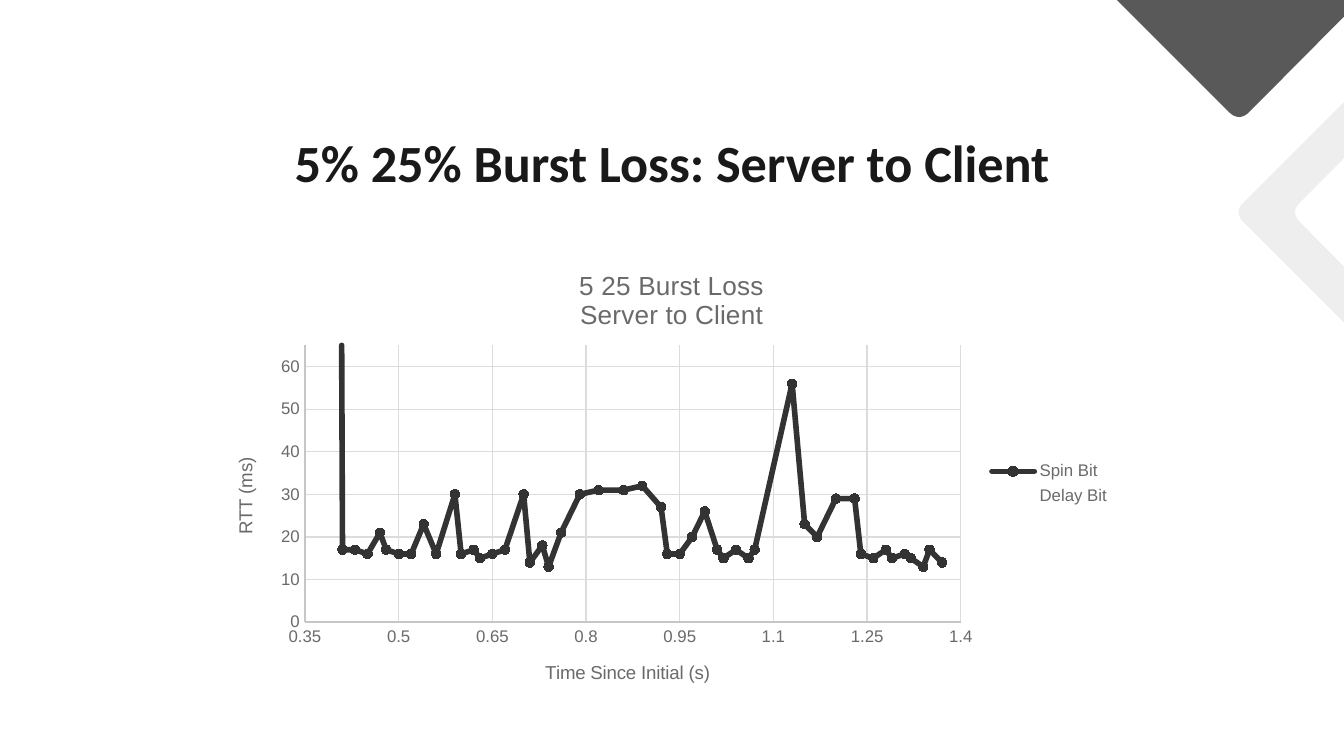
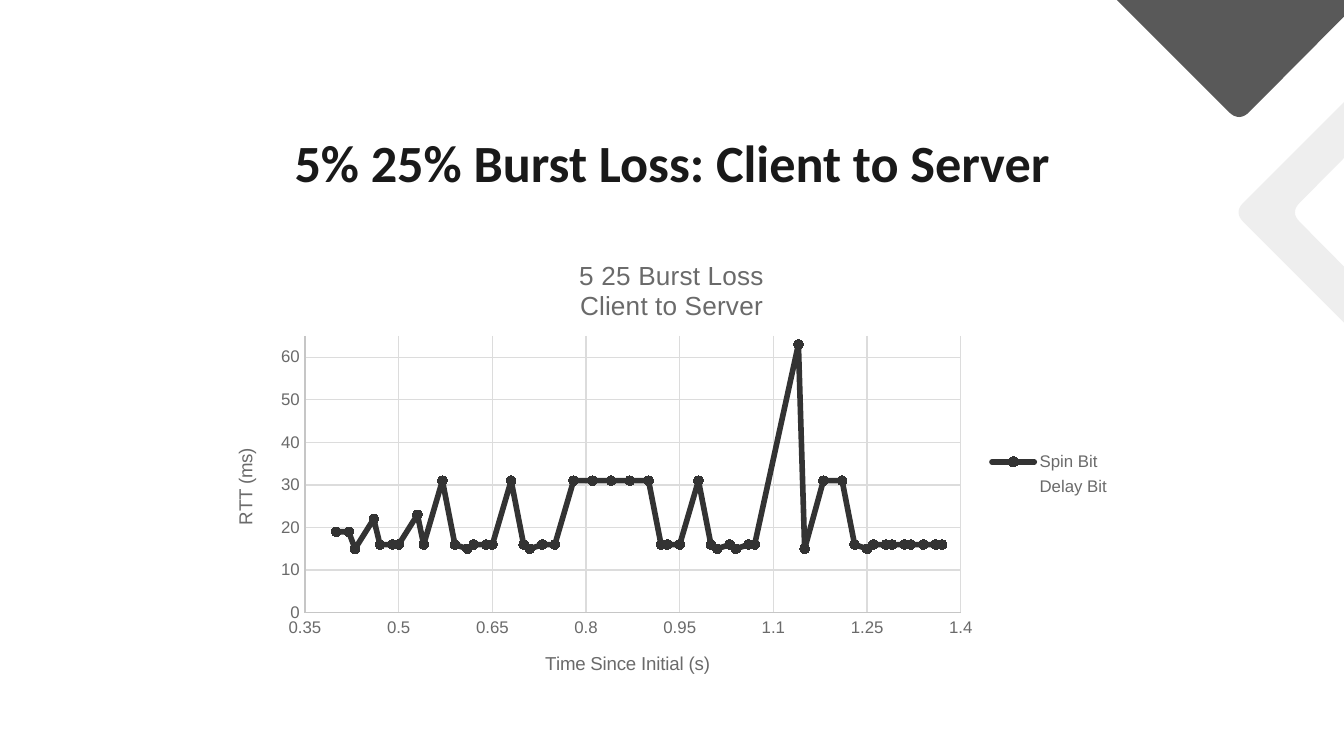
from dataclasses import dataclass

from lxml import etree
from pptx import Presentation
from pptx.chart.data import XyChartData
from pptx.dml.color import RGBColor
from pptx.enum.chart import (XL_CHART_TYPE, XL_LEGEND_POSITION, XL_MARKER_STYLE,
                             XL_TICK_MARK)
from pptx.enum.text import MSO_AUTO_SIZE, PP_ALIGN
from pptx.oxml.ns import qn
from pptx.util import Inches, Pt

SCATTER = XL_CHART_TYPE.XY_SCATTER_LINES
LEGEND_RIGHT = XL_LEGEND_POSITION.RIGHT
CIRCLE = XL_MARKER_STYLE.CIRCLE
NO_TICK = XL_TICK_MARK.NONE
CENTER = PP_ALIGN.CENTER
GROW = MSO_AUTO_SIZE.SHAPE_TO_FIT_TEXT

CHART_WIDTH, CHART_HEIGHT = 6.73, 3.5


@dataclass(frozen=True)
class Theme:
    background: str = "FFFFFF"
    ink: str = "191919"
    diamond: str = "595959"
    chevron: str = "EEEEEE"
    chart_text: str = "6A6A6A"
    axis_line: str = "C6C6C6"
    grid: str = "DCDCDC"
    spin: str = "333333"
    delay: str = "FFFFFF"
    title_font: str = "Calibri"
    chart_font: str = "Arial"
    title_size: float = 28
    chart_title_size: float = 14
    axis_title_size: float = 10
    label_size: float = 9
    hairline: float = 0.75
    spin_line: float = 3
    marker_size: int = 5


THEME = Theme()

# Corners of the decorations: x, y and the length cut off to round the corner
DIAMOND = [(7.9, -0.45, 0), (7.9, -0.41, 0), (9.22, 0.91, 0.11),
           (10.53, -0.41, 0), (10.53, -0.45, 0)]
CHEVRON = [(9.18, 1.58, 0.1), (10.39, 2.79, 0.1), (10.6, 2.59, 0),
           (9.6, 1.58, 0.1), (10.6, 0.57, 0), (10.39, 0.37, 0.1)]


@dataclass(frozen=True)
class LossTest:
    direction: str
    chart_top: float
    times: list
    spin_rtt: list
    delay_end: int
    delay_line: float


TESTS = [
    LossTest(
        "Server to Client", 1.85,
        [0.4, 0.41, 0.43, 0.45, 0.47, 0.48, 0.5, 0.52, 0.54, 0.56, 0.59, 0.6, 0.62,
         0.63, 0.65, 0.67, 0.7, 0.71, 0.73, 0.74, 0.76, 0.79, 0.82, 0.86, 0.89, 0.92,
         0.93, 0.95, 0.97, 0.99, 1.01, 1.02, 1.04, 1.06, 1.07, 1.13, 1.15, 1.17, 1.2,
         1.23, 1.24, 1.26, 1.28, 1.29, 1.31, 1.32, 1.34, 1.35, 1.37],
        [376, 17, 17, 16, 21, 17, 16, 16, 23, 16, 30, 16, 17, 15, 16, 17, 30, 14, 18,
         13, 21, 30, 31, 31, 32, 27, 16, 16, 20, 26, 17, 15, 17, 15, 17, 56, 23, 20,
         29, 29, 16, 15, 17, 15, 16, 15, 13, 17, 14],
        10, 1.25),
    LossTest(
        "Client to Server", 1.78,
        [0.4, 0.42, 0.43, 0.46, 0.47, 0.49, 0.5, 0.53, 0.54, 0.57, 0.59, 0.61, 0.62,
         0.64, 0.65, 0.68, 0.7, 0.71, 0.73, 0.75, 0.78, 0.81, 0.84, 0.87, 0.9, 0.92,
         0.93, 0.95, 0.98, 1, 1.01, 1.03, 1.04, 1.06, 1.07, 1.14, 1.15, 1.18, 1.21,
         1.23, 1.25, 1.26, 1.28, 1.29, 1.31, 1.32, 1.34, 1.36, 1.37],
        [19, 19, 15, 22, 16, 16, 16, 23, 16, 31, 16, 15, 16, 16, 16, 31, 16, 15, 16,
         16, 31, 31, 31, 31, 31, 16, 16, 16, 31, 16, 15, 16, 15, 16, 16, 63, 15, 31,
         31, 16, 15, 16, 16, 16, 16, 16, 16, 16, 16],
        9, 1.5),
]


def color(value):
    return RGBColor.from_string(value)


def style_font(font, name, size, ink, bold=False):
    font.name, font.size, font.bold = name, Pt(size), bold
    font.color.rgb = color(ink)


def style_line(line, ink, width):
    line.color.rgb = color(ink)
    line.width = Pt(width)


def toward(start, end, distance):
    """Point at a distance from start on the way to end."""
    dx, dy = end[0] - start[0], end[1] - start[1]
    share = distance / (dx * dx + dy * dy) ** 0.5
    return start[0] + dx * share, start[1] + dy * share


def rounded_outline(corners, steps=8):
    """Replace each cut corner by points on a quadratic curve."""
    points = []
    for index, corner in enumerate(corners):
        x, y, cut = corner
        if not cut:
            points.append((x, y))
            continue
        first = toward(corner, corners[index - 1], cut)
        last = toward(corner, corners[(index + 1) % len(corners)], cut)
        for step in range(steps + 1):
            t = step / steps
            points.append(tuple((1 - t) ** 2 * a + 2 * t * (1 - t) * b + t * t * c
                                for a, b, c in zip(first, (x, y), last)))
    return points


def add_decoration(page, corners, fill):
    points = [(Inches(x), Inches(y)) for x, y in rounded_outline(corners)]
    builder = page.shapes.build_freeform(*points[0])
    builder.add_line_segments(points[1:], close=True)
    shape = builder.convert_to_shape()
    shape.shadow.inherit = False
    shape.fill.solid()
    shape.fill.fore_color.rgb = color(fill)
    shape.line.fill.background()


def add_title(page, text):
    box = page.shapes.add_textbox(Inches(0.92), Inches(0.92), Inches(8.16), Inches(0.57))
    frame = box.text_frame
    frame.word_wrap = True
    frame.auto_size = GROW
    para = frame.paragraphs[0]
    para.alignment = CENTER
    span = para.add_run()
    span.text = text
    style_font(span.font, THEME.title_font, THEME.title_size, THEME.ink, bold=True)


def place(element, position, **settings):
    """Lay out a chart title or plot area, in inches from the chart's corner."""
    layout = element.find(qn("c:layout"))
    if layout is None:
        layout = etree.Element(qn("c:layout"))
        element.insert(0 if element.find(qn("c:tx")) is None else 1, layout)
    manual = etree.SubElement(layout, qn("c:manualLayout"))
    shares = [length / whole
              for length, whole in zip(position, (CHART_WIDTH, CHART_HEIGHT) * 2)]
    values = {**settings, "xMode": "edge", "yMode": "edge", **dict(zip("xywh", shares))}
    for tag, value in values.items():
        etree.SubElement(manual, qn(f"c:{tag}")).set("val", str(value))


def write_chart_title(title, lines, size, position):
    frame = title.text_frame
    for index, text in enumerate(lines):
        para = frame.add_paragraph() if index else frame.paragraphs[0]
        span = para.add_run()
        span.text = text
        style_font(span.font, THEME.chart_font, size, THEME.chart_text)
    place(title._element, position)


def style_axis(axis, title, limits, step, title_position):
    axis.minimum_scale, axis.maximum_scale = limits
    axis.major_unit = step
    axis.major_tick_mark = axis.minor_tick_mark = NO_TICK
    axis.has_major_gridlines = True
    style_line(axis.major_gridlines.format.line, THEME.grid, THEME.hairline)
    style_line(axis.format.line, THEME.axis_line, THEME.hairline)
    labels = axis.tick_labels
    labels.number_format, labels.number_format_is_linked = "General", False
    style_font(labels.font, THEME.chart_font, THEME.label_size, THEME.chart_text)
    write_chart_title(axis.axis_title, [title], THEME.axis_title_size, title_position)


def style_series(series, ink, width):
    series.smooth = False
    style_line(series.format.line, ink, width)
    series.format.line._get_or_add_ln().set("cap", "rnd")
    marker = series.marker
    marker.style, marker.size = CIRCLE, THEME.marker_size
    marker.format.fill.solid()
    marker.format.fill.fore_color.rgb = color(ink)
    marker.format.line.color.rgb = color(ink)


def add_rtt_chart(page, test):
    data = XyChartData()
    points = list(zip(test.times, test.spin_rtt))
    for name, part in (("Spin Bit", points), ("Delay Bit", points[1:test.delay_end])):
        series = data.add_series(name)
        for time, rtt in part:
            series.add_data_point(time, rtt)
    chart = page.shapes.add_chart(SCATTER, Inches(1.63), Inches(test.chart_top),
                                  Inches(CHART_WIDTH), Inches(CHART_HEIGHT), data).chart
    style_font(chart.font, THEME.chart_font, THEME.axis_title_size, THEME.ink)
    chart.has_title = True
    write_chart_title(chart.chart_title, ["5 25 Burst Loss", test.direction],
                      THEME.chart_title_size, (2.65, 0.12))
    style_axis(chart.category_axis, "Time Since Initial (s)", (0.35, 1.4), 0.15,
               (2.4, 3.04))
    style_axis(chart.value_axis, "RTT (ms)", (0, 65), 10, (0.08, 1.53))
    chart.has_legend = True
    chart.legend.position = LEGEND_RIGHT
    chart.legend.include_in_layout = False
    style_font(chart.legend.font, THEME.chart_font, THEME.label_size, THEME.chart_text)

    plot = chart.plots[0]
    plot.vary_by_categories = False
    spin, delay = plot.series
    style_series(spin, THEME.spin, THEME.spin_line)
    style_series(delay, THEME.delay, test.delay_line)
    place(chart._chartSpace.chart.plotArea, (0.64, 0.72, 4.88, 2.06),
          layoutTarget="inner")


def add_page(deck, test):
    page = deck.slides.add_slide(deck.slide_layouts[6])
    page.background.fill.solid()
    page.background.fill.fore_color.rgb = color(THEME.background)
    add_decoration(page, DIAMOND, THEME.diamond)
    add_decoration(page, CHEVRON, THEME.chevron)
    add_title(page, f"5% 25% Burst Loss: {test.direction}")
    add_rtt_chart(page, test)


def main():
    deck = Presentation()
    deck.slide_width = Inches(10)
    deck.slide_height = deck.slide_width * 9 // 16
    for test in TESTS:
        add_page(deck, test)
    deck.save("out.pptx")


if __name__ == "__main__":
    main()
